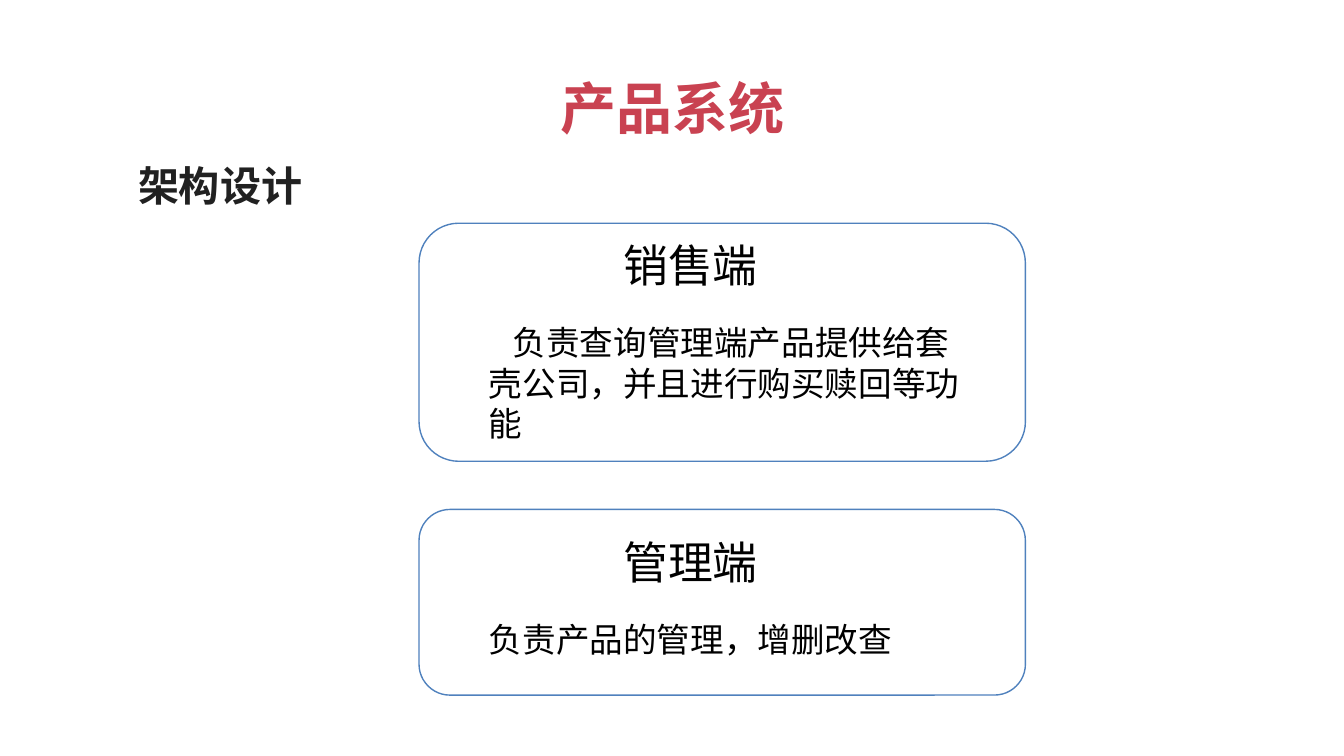
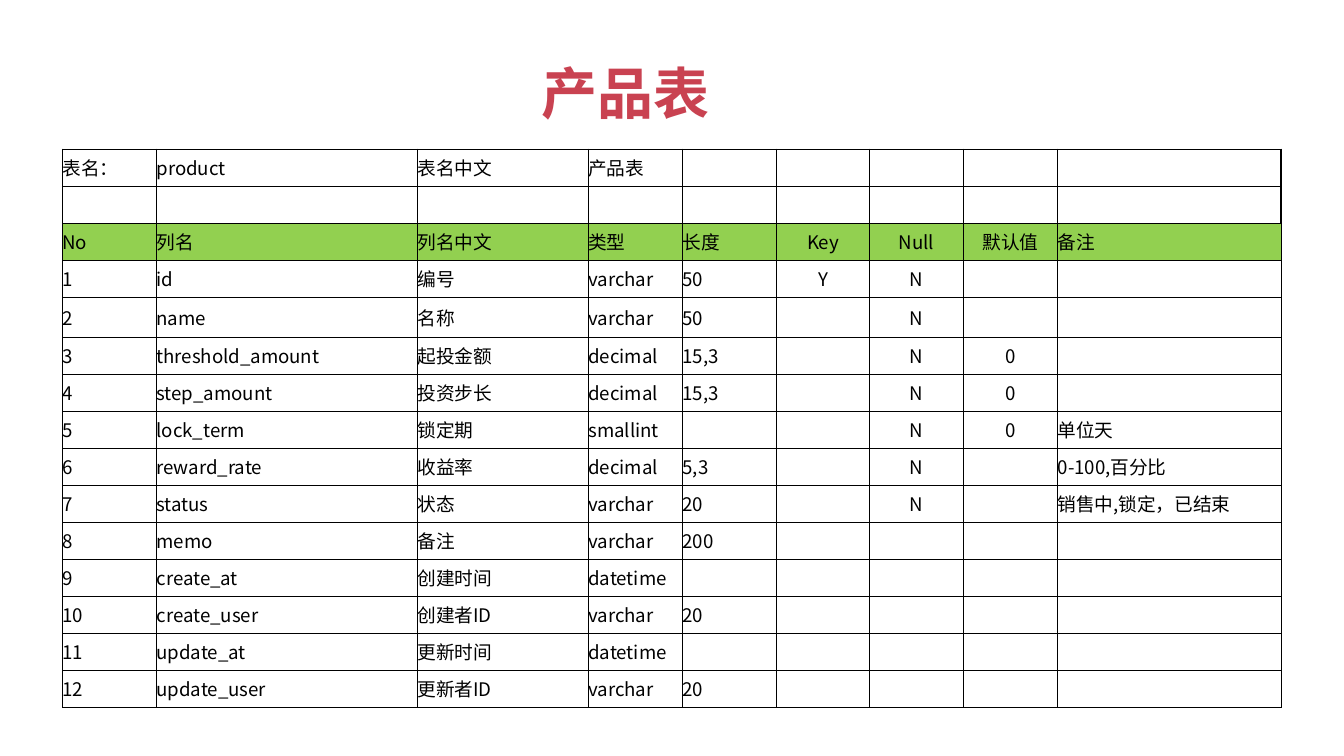
from lxml import etree
from pptx import Presentation
from pptx.dml.color import RGBColor
from pptx.enum.shapes import MSO_SHAPE
from pptx.enum.text import MSO_ANCHOR, MSO_AUTO_SIZE, PP_ALIGN
from pptx.oxml.ns import qn
from pptx.util import Cm, Pt

ROUND = MSO_SHAPE.ROUNDED_RECTANGLE
MID = MSO_ANCHOR.MIDDLE
GROW = MSO_AUTO_SIZE.SHAPE_TO_FIT_TEXT
LEFT, CENTER = PP_ALIGN.LEFT, PP_ALIGN.CENTER
FONT = "Noto Sans CJK SC"
RED, DARK, BLACK = "C94251", "212121", "000000"
BLUE, GREEN = "4F81BD", "92D050"
rgb = RGBColor.from_string


def write(para, text, size, color=BLACK, bold=False):
    """Add one run with Latin and East Asian fonts set."""
    run = para.add_run()
    run.text = text
    font = run.font
    font.size, font.bold, font.name = Pt(size), bold, FONT
    font.color.rgb = rgb(color)
    etree.SubElement(run._r.get_or_add_rPr(), qn("a:ea"), typeface=FONT)


def add_text(shapes, box, text, size, color=BLACK, bold=False, wrap=False):
    frame = shapes.add_textbox(*map(Cm, box)).text_frame
    frame.word_wrap = wrap
    frame.auto_size = GROW
    write(frame.paragraphs[0], text, size, color, bold)
    return frame


prs = Presentation()
prs.slide_width, prs.slide_height = Cm(25.4), Cm(14.29)
blank = prs.slide_layouts[6]

# Slide 1: two parts of the system
slide = prs.slides.add_slide(blank)
add_text(slide.shapes, (10.34, 1.27, 4.75, 1.52), "产品系统", 30, RED, True)
head = add_text(slide.shapes, (2.18, 2.79, 22.25, 1.42), "架构设计", 22, DARK, True, True)
head.auto_size = MSO_AUTO_SIZE.NONE
head.vertical_anchor = MID
head.margin_left = Cm(0.43)
head.paragraphs[0].space_before = Pt(4.4)

# top, height, name, name top, duty, duty top, duty width, duty height, wrap, indent
parts = [
    (9.63, 3.51, "管理端", 9.98, "负责产品的管理，增删改查", 11.58, 8.13, 1.02, False, 0),
    (4.22, 4.5, "销售端", 4.37, "负责查询管理端产品提供给套壳公司，并且进行购买赎回等功能",
     5.97, 9.42, 2.57, True, 0.45),
]
for top, high, name, name_top, duty, duty_top, wide, tall, wrap, indent in parts:
    group = slide.shapes.add_group_shape().shapes
    card = group.add_shape(ROUND, Cm(7.92), Cm(top), Cm(11.46), Cm(high))
    card.shadow.inherit = False
    card.fill.background()
    card.line.color.rgb = rgb(BLUE)
    card.line.width = Pt(0.75)
    add_text(group, (11.53, name_top, 3.05, 1.27), name, 24)
    body = add_text(group, (8.99, duty_top, wide, tall), duty, 18, wrap=wrap)
    if indent:
        body.paragraphs[0]._p.get_or_add_pPr().set("indent", str(Cm(indent)))

# Slide 2: columns of the product table
slide = prs.slides.add_slide(blank)
title = add_text(slide.shapes, (9.98, 0.99, 3.68, 1.52), "产品表", 30, RED, True)
title.paragraphs[0].alignment = CENTER

rows = """表名：|product|表名中文|产品表|||||
||||||||
No|列名|列名中文|类型|长度|Key|Null|默认值|备注
1|id|编号|varchar|50|Y|N||
2|name|名称|varchar|50||N||
3|threshold_amount|起投金额|decimal|15,3||N|0|
4|step_amount|投资步长|decimal|15,3||N|0|
5|lock_term|锁定期|smallint|||N|0|单位天
6|reward_rate|收益率|decimal|5,3||N||0-100,百分比
7|status|状态|varchar|20||N||销售中,锁定，已结束
8|memo|备注|varchar|200||||
9|create_at|创建时间|datetime|||||
10|create_user|创建者ID|varchar|20||||
11|update_at|更新时间|datetime|||||
12|update_user|更新者ID|varchar|20||||""".split("\n")
wides = [1.78, 4.93, 3.23, 1.78, 1.78, 1.75, 1.78, 1.78, 4.22]
highs = [0.76 if r == 4 else 0.7 for r in range(len(rows))]

grid = slide.shapes.add_table(len(rows), len(wides), Cm(1.18), Cm(2.82),
                              Cm(sum(wides)), Cm(sum(highs))).table
grid.first_row = grid.horz_banding = False
for col, wide in zip(grid.columns, wides):
    col.width = Cm(wide)
for r, (row, high) in enumerate(zip(rows, highs)):
    grid.rows[r].height = Cm(high)
    for c, text in enumerate(row.split("|")):
        cell = grid.cell(r, c)
        cell.margin_left = cell.margin_right = 0
        cell.margin_top = cell.margin_bottom = 0
        cell.vertical_anchor = MID
        para = cell.text_frame.paragraphs[0]
        para.alignment = CENTER if c in (5, 6, 7) else LEFT
        if text:
            write(para, text, 10)
        else:
            etree.SubElement(para._p, qn("a:endParaRPr"), sz="1000")
        props = cell._tc.get_or_add_tcPr()
        for side in "LRTB":
            thick = r == 0 or (r == 1 and side != "B")
            line = etree.SubElement(props, qn("a:ln" + side),
                                    w=str(Pt(0.75 if thick else 0.5)))
            paint = etree.SubElement(line, qn("a:solidFill"))
            etree.SubElement(paint, qn("a:srgbClr"), val=BLACK)
        if r == 2:
            cell.fill.solid()
            cell.fill.fore_color.rgb = rgb(GREEN)
        else:
            cell.fill.background()

prs.save("out.pptx")
